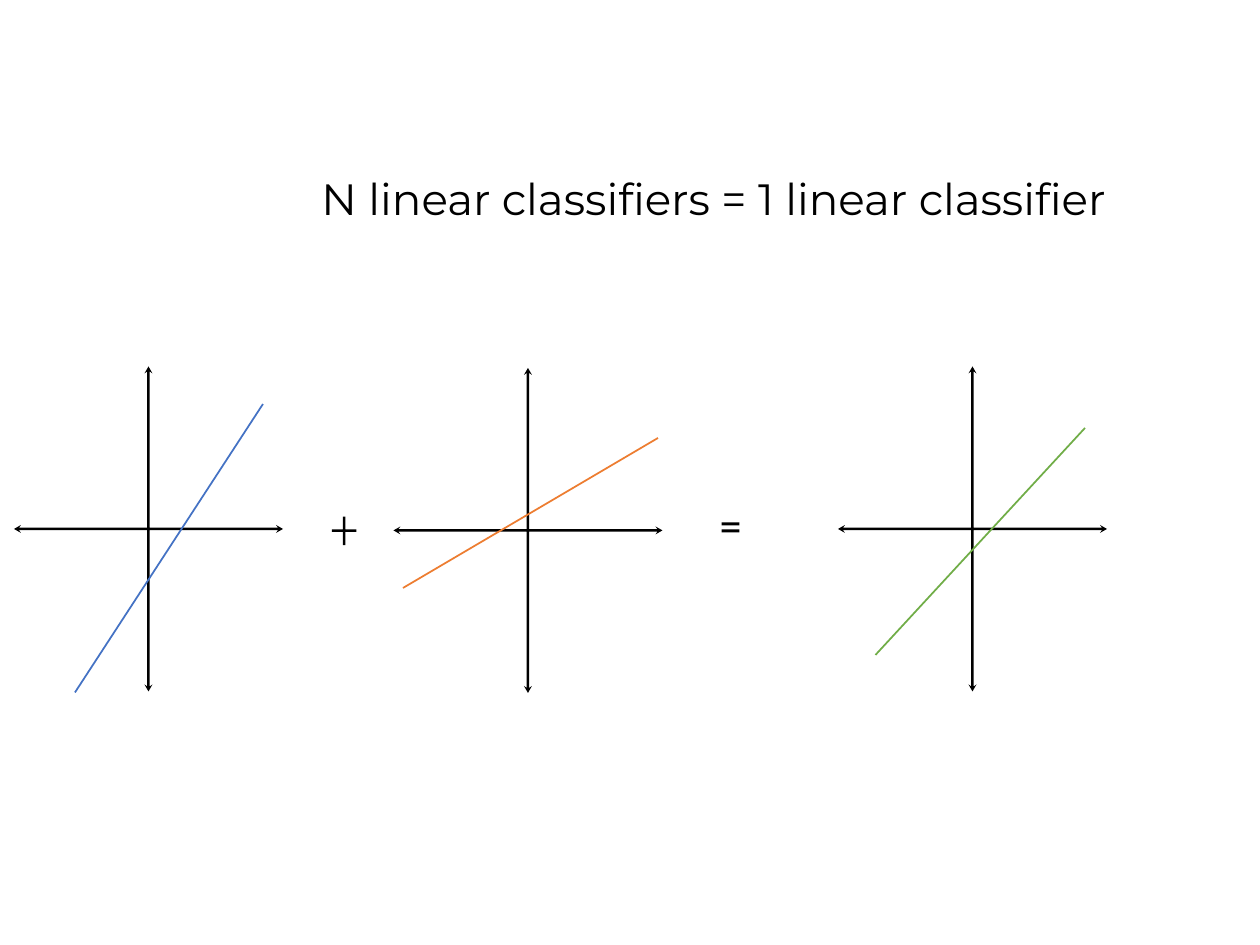
from lxml import etree
from pptx import Presentation
from pptx.dml.color import RGBColor
from pptx.enum.shapes import MSO_CONNECTOR as CONN, MSO_SHAPE as SHAPE
from pptx.enum.text import MSO_ANCHOR as ANCHOR
from pptx.oxml.ns import qn
from pptx.util import Emu, Pt

PX = 914400 / 252
BLACK = "000000"
AXES_W, AXES_H = 538, 650
STROKE = 5
PLOTS = [
    (28, 733, "4472C4", (122, 652), (498, 75)),
    (787, 736, "ED7D31", (19, 440), (529, 140)),
    (1676, 733, "70AD47", (75, 577), (494, 123)),
]


def px(n):
    return Emu(round(n * PX))


def rgb(color):
    return RGBColor.from_string(color)


def paint(sp, color):
    sp.shadow.inherit = False
    sp.fill.solid()
    sp.fill.fore_color.rgb = rgb(color)
    sp.line.fill.background()


def add_text(s, text, x, y, w, h, font="Montserrat", size=25, color=BLACK):
    tf = s.shapes.add_textbox(px(x), px(y), px(w), px(h)).text_frame
    tf.word_wrap = True
    tf.vertical_anchor = ANCHOR.MIDDLE
    tf.margin_left = tf.margin_right = tf.margin_bottom = 0
    tf.margin_top = px(3)
    r = tf.paragraphs[0].add_run()
    r.text = text
    r.font.name = font
    r.font.size = Pt(size)
    r.font.color.rgb = rgb(color)


def add_cross(s, x, y, w, h, arrows=False):
    half = STROKE / 2
    cx, cy = x + w / 2, y + h / 2
    if arrows:
        tip = [(10, -half), (14, -8), (0, 0), (14, 8), (10, half)]
    else:
        tip = [(0, -half), (0, half)]
    pts = []
    for dx, dy, reach in ((1, 0, w / 2), (0, 1, h / 2), (-1, 0, w / 2), (0, -1, h / 2)):
        arm = [(reach - back, side) for back, side in tip] + [(half, half)]
        pts += [(px(cx + a * dx - b * dy), px(cy + a * dy + b * dx)) for a, b in arm]
    fb = s.shapes.build_freeform(*pts[0])
    fb.add_line_segments(pts[1:], close=True)
    paint(fb.convert_to_shape(), BLACK)


def add_plot(s, x, y, color, start, end):
    add_cross(s, x, y, AXES_W, AXES_H, arrows=True)
    (x1, y1), (x2, y2) = start, end
    line = s.shapes.add_connector(
        CONN.STRAIGHT, px(x + x1), px(y + y1), px(x + x2), px(y + y2))
    line.line.color.rgb = rgb(color)
    line.line.width = Pt(1)
    etree.SubElement(line._element.spPr, qn("a:effectLst"))


def add_equals(s, x, y, w, bar=6, pitch=14):
    for i in range(2):
        sp = s.shapes.add_shape(
            SHAPE.RECTANGLE, px(x), px(y + i * pitch), px(w), px(bar))
        paint(sp, BLACK)


def main():
    prs = Presentation()
    prs.slide_width, prs.slide_height = px(2520), px(1890)
    s = prs.slides.add_slide(prs.slide_layouts[6])
    add_text(s, "N linear classifiers = 1 linear classifier", 643, 340, 1625, 108)
    for plot in PLOTS:
        add_plot(s, *plot)
    add_cross(s, 664, 1033, 49, 57)
    add_equals(s, 1443, 1045, 36)
    prs.save("out.pptx")


if __name__ == "__main__":
    main()
